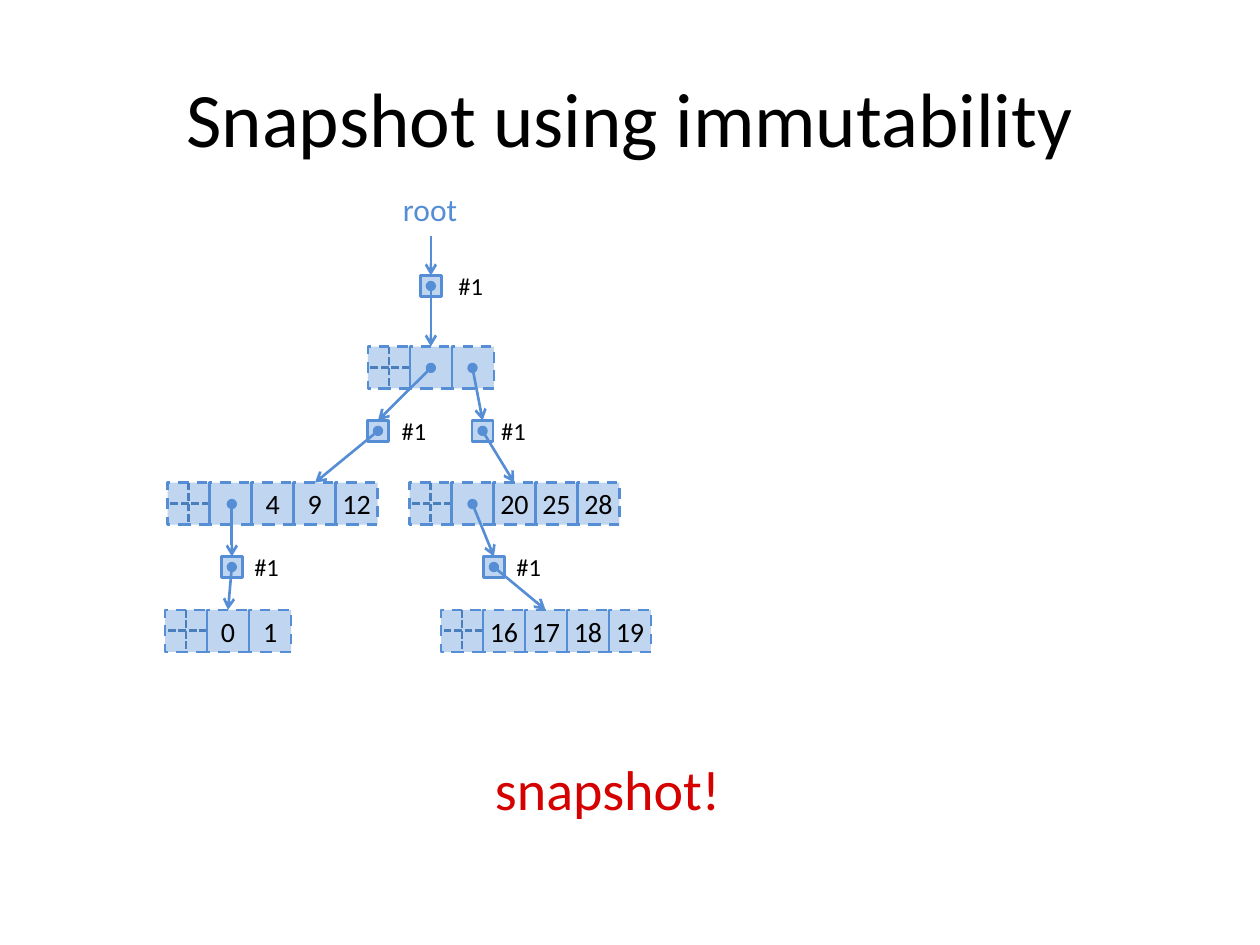
from lxml import etree
from pptx import Presentation
from pptx.dml.color import RGBColor
from pptx.enum.dml import MSO_LINE
from pptx.enum.shapes import MSO_CONNECTOR, MSO_SHAPE
from pptx.enum.text import MSO_ANCHOR, PP_ALIGN
from pptx.oxml.ns import qn
from pptx.util import Inches, Pt

RECT = MSO_SHAPE.RECTANGLE
STRAIGHT = MSO_CONNECTOR.STRAIGHT
DASH, SHORT_DASH = MSO_LINE.DASH, MSO_LINE.SQUARE_DOT
LEFT, CENTER = PP_ALIGN.LEFT, PP_ALIGN.CENTER
TOP, MIDDLE = MSO_ANCHOR.TOP, MSO_ANCHOR.MIDDLE

BLUE, DARK_BLUE, RED, BLACK = "558ED5", "4B7EBC", "D50000", "000000"
CELL = 1 / 3
REF = CELL / 2


def rgb(hex_color):
    return RGBColor.from_string(hex_color)


class TreeSlide:
    font = "Calibri"
    line_width = 1.5
    opacity = 37

    def __init__(self, slide):
        self.slide = slide

    def fill_text(self, shape, text, size, color=BLACK, align=LEFT, **frame_format):
        frame = shape.text_frame
        for name, value in frame_format.items():
            setattr(frame, name, value)
        paragraph = frame.paragraphs[0]
        paragraph.alignment = align
        run = paragraph.add_run()
        run.text = text
        for name, value in {"name": self.font, "size": Pt(size)}.items():
            setattr(run.font, name, value)
        run.font.color.rgb = rgb(color)

    def text(self, text, left, top, width, height, size, color=BLACK,
             align=LEFT, wrap=True, anchor=TOP):
        box = self.slide.shapes.add_textbox(*map(Inches, (left, top, width, height)))
        self.fill_text(box, text, size, color, align, word_wrap=wrap, vertical_anchor=anchor)

    def outline(self, line, color, dash):
        line.color.rgb = rgb(color)
        line.width = Pt(self.line_width)
        if dash:
            line.dash_style = dash

    def box(self, left, top, size, dash=None, label="", shapes=None):
        shapes = shapes or self.slide.shapes
        box = shapes.add_shape(RECT, *map(Inches, (left, top, size, size)))
        box.shadow.inherit = False
        box.fill.solid()
        box.fill.fore_color.rgb = rgb(BLUE)
        tint = box._element.spPr.find(qn("a:solidFill")).find(qn("a:srgbClr"))
        etree.SubElement(tint, qn("a:alpha"), val=str(self.opacity * 1000))
        self.outline(box.line, BLUE, dash)
        if label:
            self.fill_text(box, label, 16, align=CENTER, word_wrap=False,
                           vertical_anchor=MIDDLE, margin_left=0, margin_right=0)

    def line(self, start, end, color=BLUE, dash=None, head=None, tail=None, shapes=None):
        shapes = shapes or self.slide.shapes
        line = shapes.add_connector(STRAIGHT, *map(Inches, (*start, *end)))
        self.outline(line.line, color, dash)
        properties = line._element.spPr
        for tag, kind in (("a:headEnd", head), ("a:tailEnd", tail)):
            if kind:
                etree.SubElement(properties.find(qn("a:ln")), qn(tag), type=kind)
        etree.SubElement(properties, qn("a:effectLst"))

    def pointer(self, start, end, head="oval"):
        self.line(start, end, head=head, tail="arrow")

    def header(self, left, top):
        """Node header: a cell divided by a dashed cross."""
        shapes = self.slide.shapes.add_group_shape().shapes
        self.box(left, top, CELL, DASH, shapes=shapes)
        mid_x, mid_y = left + CELL / 2, top + CELL / 2
        for start, end in (((mid_x, top), (mid_x, top + CELL)),
                           ((left + CELL, mid_y), (left, mid_y))):
            self.line(start, end, DARK_BLUE, SHORT_DASH, shapes=shapes)

    def node(self, left, top, values):
        self.header(left, top)
        for column, value in enumerate(values, 1):
            self.box(left + column * CELL, top, CELL, DASH, value)

    def reference(self, x, y, version_left):
        """Small versioned reference centred on x, y."""
        self.box(x - REF / 2, y - REF / 2, REF)
        self.text("#1", version_left, y - 0.17, 0.5, 0.34, 14)


def main():
    prs = Presentation()
    prs.slide_width, prs.slide_height = Inches(10), Inches(7.5)
    tree = TreeSlide(prs.slides.add_slide(prs.slide_layouts[6]))

    # Title and captions
    tree.text("Snapshot using immutability", 0.5, 0.3, 9, 1.25, 44,
              align=CENTER, anchor=MIDDLE)
    tree.text("root", 3.1, 1.46, 0.64, 0.4, 18, BLUE, wrap=False)
    tree.text("snapshot!", 3.83, 5.94, 2.01, 0.64, 32, RED, wrap=False)

    # Nodes: an empty value is a cell that holds a pointer
    nodes = [
        (2.92, 2.75, ["", ""]),
        (1.33, 3.83, ["", "4", "9", "12"]),
        (3.25, 3.83, ["", "20", "25", "28"]),
        (1.31, 4.84, ["0", "1"]),
        (3.5, 4.84, ["16", "17", "18", "19"]),
    ]
    for left, top, values in nodes:
        tree.node(left, top, values)

    # References: pointing cell, reference centre, child's top, version label's left
    references = [
        (None, (3.42, 2.27), (3.42, 2.75), 3.54),
        ((3.42, 2.92), (3, 3.42), (2.5, 3.83), 3.09),
        ((3.75, 2.92), (3.83, 3.42), (4.08, 3.83), 3.88),
        ((1.84, 4), (1.84, 4.5), (1.81, 4.84), 1.92),
        ((3.75, 4), (3.92, 4.5), (4.33, 4.84), 4),
    ]
    for parent, (x, y), child, version_left in references:
        tree.reference(x, y, version_left)
        if parent:
            tree.pointer(parent, (x, y - REF / 2))
        else:
            tree.pointer((x, 1.87), (x, y - REF / 2), head=None)
        tree.pointer((x, y), child)

    prs.save("out.pptx")


if __name__ == "__main__":
    main()
